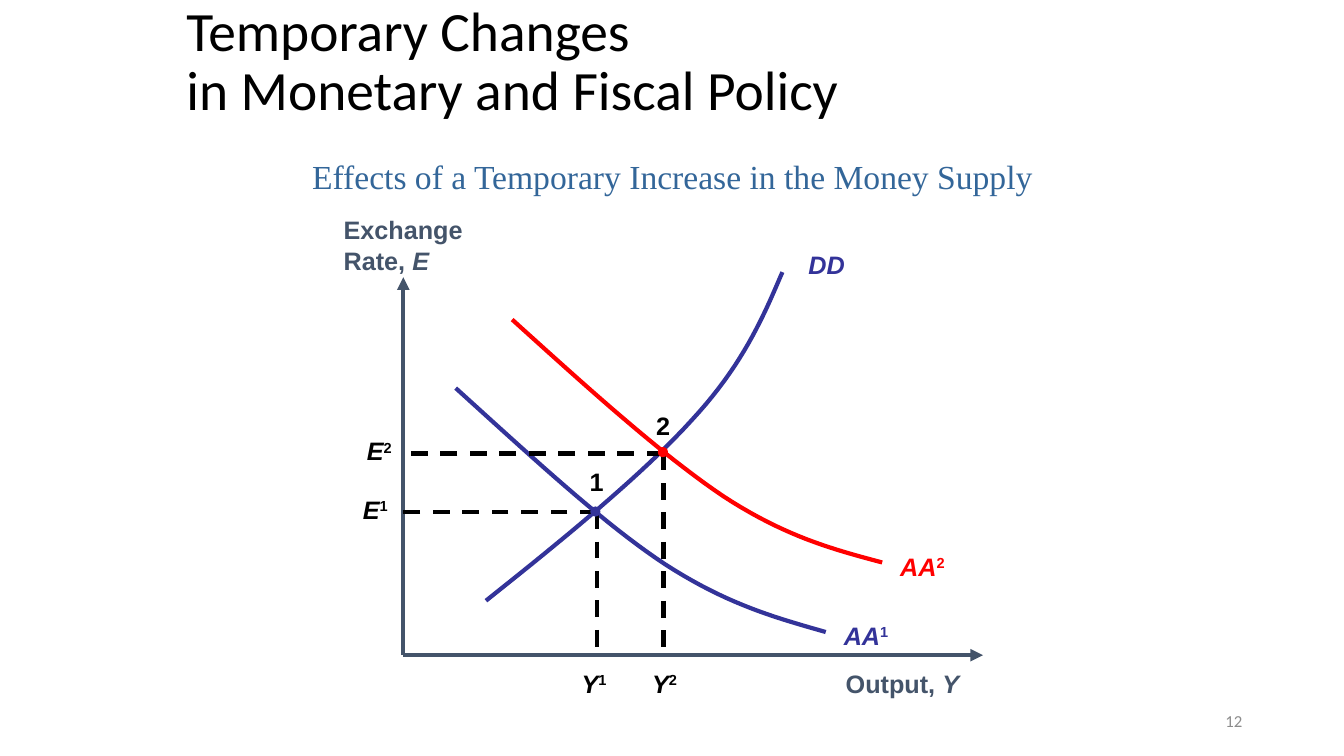
"""Build the slide on temporary money supply changes in the DD-AA model."""
from lxml.etree import SubElement
from pptx import Presentation
from pptx.dml.color import RGBColor
from pptx.enum.dml import MSO_LINE
from pptx.enum.shapes import MSO_CONNECTOR, MSO_SHAPE
from pptx.enum.text import MSO_ANCHOR, PP_ALIGN
from pptx.oxml.ns import qn
from pptx.util import Inches, Pt

BLUE, RED, SLATE, BLACK = "333399", "FF0000", "44546A", "000000"
ORIGIN_X, ORIGIN_Y = 4, 6.5

deck = Presentation()
deck.slide_width, deck.slide_height = Inches(13.33), Inches(7.5)
page = deck.slides.add_slide(deck.slide_layouts[6])


def write(place, lines, color, size=18, name="Arial", bold=True, wrap=False,
          anchor=MSO_ANCHOR.TOP, align=PP_ALIGN.LEFT):
    """Add a text box; each line is a list of (text, style) parts."""
    box = page.shapes.add_textbox(*map(Inches, place))
    frame = box.text_frame
    frame.word_wrap, frame.vertical_anchor = wrap, anchor
    for number, parts in enumerate(lines):
        para = frame.add_paragraph() if number else frame.paragraphs[0]
        para.alignment = align
        for text, style in parts:
            if text == "\v":
                para.add_line_break()
                continue
            span = para.add_run()
            span.text = text
            if style == "italic":
                span.font.italic = True
            elif style == "super":
                span.font._element.set("baseline", "30000")
        font = para.font
        font.name, font.size, font.bold = name, Pt(size), bold
        font.color.rgb = RGBColor.from_string(color)
    return box


def draw_line(start, end, color, dashed=False):
    """Add a dashed guide, or a solid axis with an arrowhead at its end."""
    line = page.shapes.add_connector(
        MSO_CONNECTOR.STRAIGHT, *map(Inches, start + end))
    line.line.color.rgb = RGBColor.from_string(color)
    line.line.width = Pt(3)
    if dashed:
        line.line.dash_style = MSO_LINE.DASH
    else:
        SubElement(line.line._get_or_add_ln(), qn("a:tailEnd"), type="triangle")
    SubElement(line._element.spPr, qn("a:effectLst"))


title = write((1.75, 0, 8.5, 1.25),
              [[("Temporary Changes ", ""), ("\v", ""),
                ("in Monetary and Fiscal Policy", "")]],
              BLACK, 39.6, "Calibri", False, True, MSO_ANCHOR.MIDDLE)
title.text_frame.paragraphs[0].line_spacing = 0.9
write((1.67, 1.42, 10, 0.58),
      [[("Effects of a Temporary Increase in the Money Supply", "")]],
      "336699", 24, "Times New Roman", False, True, MSO_ANCHOR.BOTTOM,
      PP_ALIGN.CENTER)

draw_line((ORIGIN_X, ORIGIN_Y), (4, 2.75), SLATE)
draw_line((ORIGIN_X, ORIGIN_Y), (9.75, 6.5), SLATE)
write((3.31, 2.08, 1.38, 0.7),
      [[("Exchange", "")], [("Rate, ", ""), ("E", "italic")]], SLATE)
write((8.29, 6.58, 1.33, 0.4), [[("Output, ", ""), ("Y", "italic")]], SLATE)

curves = [
    (BLUE, [(4.82, 5.96), (5.6, 5.34), (6.37, 4.71), (6.86, 4.17),
            (7.36, 3.63), (7.56, 3.17), (7.76, 2.7)]),
    (RED, [(5.08, 3.17), (5.82, 3.84), (6.56, 4.51), (7.17, 4.92),
           (7.78, 5.32), (8.26, 5.45), (8.75, 5.58)]),
    (BLUE, [(4.52, 3.85), (5.26, 4.52), (5.99, 5.2), (6.6, 5.6),
            (7.22, 6), (7.7, 6.13), (8.19, 6.27)]),
]
STEPS = 20
for color, knots in curves:
    points = []
    for first in (0, 3):
        for step in range(1, STEPS + 1):
            t = step / STEPS
            weights = ((1 - t) ** 3, 3 * t * (1 - t) ** 2,
                       3 * t ** 2 * (1 - t), t ** 3)
            points.append(tuple(
                Inches(sum(w * knot[axis] for w, knot
                           in zip(weights, knots[first:first + 4])))
                for axis in (0, 1)))
    builder = page.shapes.build_freeform(*map(Inches, knots[0]))
    builder.add_line_segments(points, close=False)
    curve = builder.convert_to_shape()
    curve.shadow.inherit = False
    curve.fill.background()
    curve.line.color.rgb = RGBColor.from_string(color)
    curve.line.width = Pt(3)

write((7.92, 2.42, 0.56, 0.4), [[("DD", "italic")]], BLUE)
for left, top, number, color in [(8.83, 5.42, "2", RED), (8.27, 6.1, "1", BLUE)]:
    write((left, top, 0.65, 0.4), [[("AA", "italic"), (number, "super")]], color)

equilibria = [
    ("1", 5.92, 5.08, BLUE, (5.86, 5.03), (5.75, 4.58), (3.5, 4.85), 5.67),
    ("2", 6.58, 4.5, RED, (6.53, 4.44), (6.41, 4.02), (3.54, 4.27), 6.37),
]
for number, x, y, color, dot_at, number_at, rate_at, output_left in equilibria:
    draw_line((x, y), (ORIGIN_X, y), BLACK, dashed=True)
    draw_line((x, y), (x, ORIGIN_Y), BLACK, dashed=True)
    dot = page.shapes.add_shape(
        MSO_SHAPE.OVAL, *map(Inches, dot_at + (0.09, 0.09)))
    dot.shadow.inherit = False
    dot.fill.solid()
    dot.fill.fore_color.rgb = RGBColor.from_string(color)
    dot.line.color.rgb = RGBColor.from_string(color)
    dot.line.width = Pt(0.75)
    write(number_at + (0.34, 0.4), [[(number, "")]], BLACK)
    for letter, corner in [("E", rate_at), ("Y", (output_left, 6.58))]:
        write(corner + (0.46, 0.4),
              [[(letter, "italic"), (number, "super")]], BLACK)

write((9.42, 6.95, 3, 0.4), [[("12", "")]], "8C8C8C", 12, "Calibri", False,
      True, MSO_ANCHOR.MIDDLE, PP_ALIGN.RIGHT)

deck.save("out.pptx")
